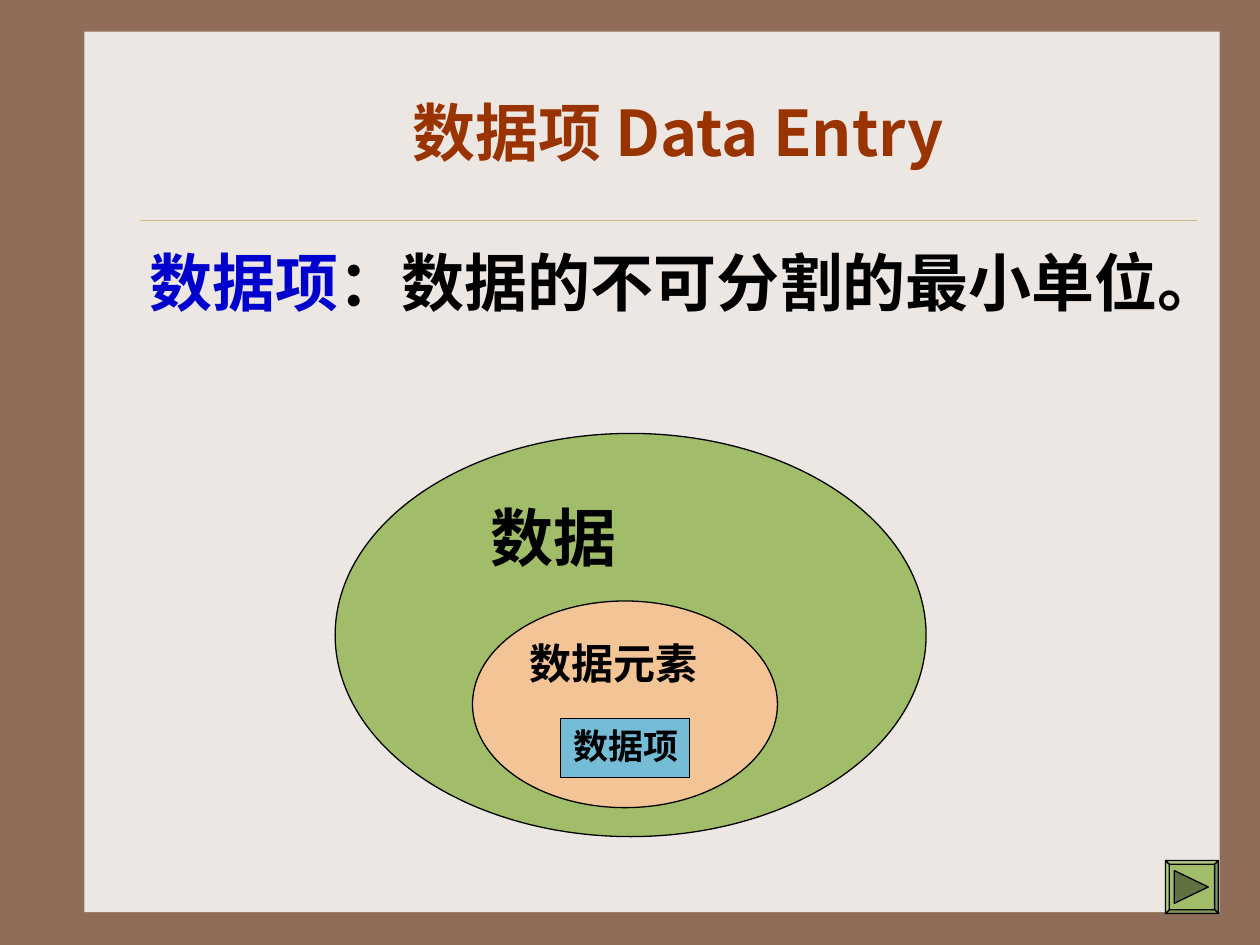
from dataclasses import dataclass

from lxml import etree
from pptx import Presentation
from pptx.dml.color import RGBColor
from pptx.enum.shapes import MSO_CONNECTOR, MSO_SHAPE
from pptx.enum.text import MSO_ANCHOR, PP_ALIGN
from pptx.oxml.ns import qn
from pptx.util import Inches, Pt

RECT, OVAL = MSO_SHAPE.RECTANGLE, MSO_SHAPE.OVAL
STRAIGHT = MSO_CONNECTOR.STRAIGHT
LEFT, CENTER = PP_ALIGN.LEFT, PP_ALIGN.CENTER
TOP, MIDDLE = MSO_ANCHOR.TOP, MSO_ANCHOR.MIDDLE


@dataclass(frozen=True)
class Theme:
    font: str = "Noto Sans CJK SC"
    frame: str = "906D58"
    panel: str = "EDE7E3"
    rule: str = "CBBD83"
    title: str = "993300"
    term: str = "0000CC"
    ink: str = "000000"
    green: str = "A1BD69"
    light_green: str = "B4CA87"
    dark_green: str = "819754"
    arrow: str = "617140"
    orange: str = "F3C495"
    blue: str = "75BDD7"
    large: int = 36
    medium: int = 24
    small: int = 20


@dataclass(frozen=True)
class Level:
    """One of the nested sets in the diagram."""
    text: str
    kind: int
    box: tuple
    fill: str
    size: int
    indent: float = 0.1


T = Theme()
LEVELS = [
    Level("数据", OVAL, (2.66, 3.44, 4.69, 3.2), T.green, T.large, 0.55),
    Level("数据元素", OVAL, (3.75, 4.77, 2.42, 1.64), T.orange, T.medium),
    Level("数据项", RECT, (4.45, 5.7, 1.02, 0.47), T.blue, T.small),
]


def rgb(color: str) -> RGBColor:
    return RGBColor.from_string(color)


def paint(sp, fill: str, line: str | None = None) -> None:
    sp.shadow.inherit = False
    sp.fill.solid()
    sp.fill.fore_color.rgb = rgb(fill)
    if line:
        sp.line.color.rgb = rgb(line)
        sp.line.width = Pt(0.75)
    else:
        sp.line.fill.background()


def write(sp, runs: list, size: int, align=LEFT, anchor=TOP):
    """Fill a shape with one paragraph of (text, colour) runs."""
    tf = sp.text_frame
    tf.word_wrap = True
    tf.vertical_anchor = anchor
    p = tf.paragraphs[0]
    p.alignment = align
    for text, color in runs:
        r = p.add_run()
        r.text = text
        r.font.name = T.font
        r.font.size = Pt(size)
        r.font.bold = True
        r.font.color.rgb = rgb(color)
        ea = etree.SubElement(r.font._element, qn("a:ea"))
        ea.set("typeface", T.font)
    return p


def add_text(s, box: tuple, runs: list, align=LEFT, anchor=TOP):
    sp = s.shapes.add_textbox(*map(Inches, box))
    return write(sp, runs, T.large, align, anchor)


def add_level(s, level: Level) -> None:
    sp = s.shapes.add_shape(level.kind, *map(Inches, level.box))
    paint(sp, level.fill, T.ink)
    write(sp, [(level.text, T.ink)], level.size)
    sp.text_frame.margin_left = Inches(level.indent)
    sp.text_frame.margin_right = 0


def add_polygon(s, points: list, fill: str) -> None:
    start, *rest = [(Inches(x), Inches(y)) for x, y in points]
    builder = s.shapes.build_freeform(*start)
    builder.add_line_segments(rest, close=True)
    paint(builder.convert_to_shape(), fill, T.ink)


def add_next_button(s, x: float, y: float, side: float, bevel: float) -> None:
    def corners(inset: float) -> list:
        a, b = inset, side - inset
        return [(x + a, y + a), (x + b, y + a), (x + b, y + b), (x + a, y + b)]

    outer, inner = corners(0), corners(bevel)
    add_polygon(s, outer, T.green)
    edges = [T.light_green, T.dark_green, T.dark_green, T.light_green]
    for i, fill in enumerate(edges):
        j = (i + 1) % 4
        add_polygon(s, [outer[i], outer[j], inner[j], inner[i]], fill)
    arrow = [(x + 0.07, y + 0.08), (x + 0.34, y + side / 2), (x + 0.07, y + side - 0.08)]
    add_polygon(s, arrow, T.arrow)


def main() -> None:
    prs = Presentation()
    prs.slide_width, prs.slide_height = Inches(10), Inches(7.5)
    s = prs.slides.add_slide(prs.slide_layouts[6])
    s.background.fill.solid()
    s.background.fill.fore_color.rgb = rgb(T.frame)

    panel = s.shapes.add_shape(RECT, *map(Inches, (0.67, 0.25, 9.01, 6.99)))
    paint(panel, T.panel)
    rule = s.shapes.add_connector(STRAIGHT, *map(Inches, (1.11, 1.75, 9.5, 1.75)))
    rule.line.color.rgb = rgb(T.rule)
    rule.line.width = Pt(0.25)
    etree.SubElement(rule._element.spPr, qn("a:effectLst"))

    add_text(s, (1.17, 0.42, 8.42, 1.25), [("数据项 Data Entry", T.title)], CENTER, MIDDLE)
    definition = [("数据项", T.term), ("：数据的不可分割的最小单位。", T.ink)]
    p = add_text(s, (1.09, 1.88, 8.91, 0.78), definition)
    p.space_before = Pt(9)

    add_next_button(s, 9.25, 6.83, 0.42, 0.03)
    for level in LEVELS:
        add_level(s, level)
    prs.save("out.pptx")


if __name__ == "__main__":
    main()
